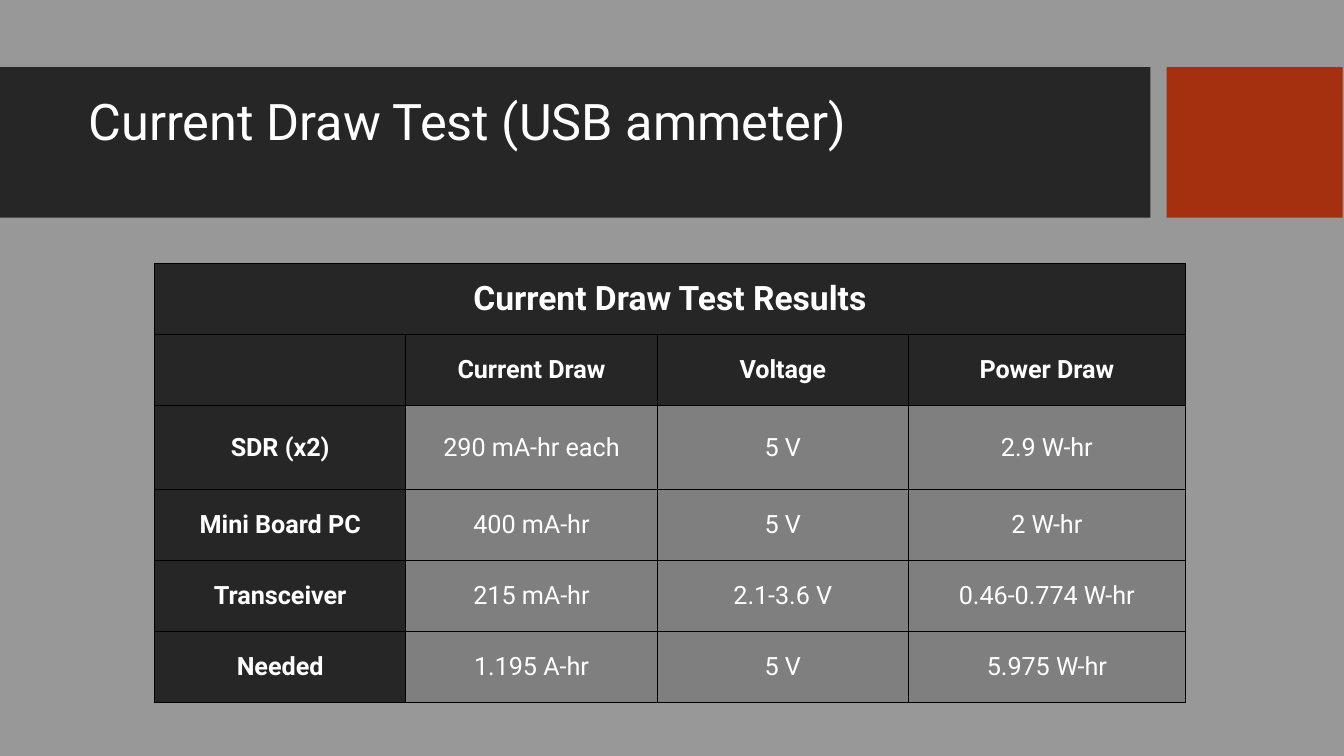
from lxml import etree
from pptx import Presentation
from pptx.dml.color import RGBColor
from pptx.enum import shapes, text
from pptx.oxml import ns
from pptx.util import Inches, Pt

DARK = RGBColor(0x26, 0x26, 0x26)
RUST = RGBColor(0xA5, 0x30, 0x0F)
GRAY = RGBColor(0x7F, 0x7F, 0x7F)
BACKDROP = RGBColor(0x98, 0x98, 0x98)
WHITE = RGBColor(0xFF, 0xFF, 0xFF)
BLACK = RGBColor(0, 0, 0)
FONT = "Roboto"

COLUMN_WIDTHS = [1.87, 1.87, 1.87, 2.06]
ROW_HEIGHTS = [0.53, 0.53, 0.62, 0.53, 0.53, 0.53]
ROWS = [
    ["Current Draw Test Results", "", "", ""],
    ["", "Current Draw", "Voltage", "Power Draw"],
    ["SDR (x2)", "290 mA-hr each", "5 V", "2.9 W-hr"],
    ["Mini Board PC", "400 mA-hr", "5 V", "2 W-hr"],
    ["Transceiver", "215 mA-hr", "2.1-3.6 V", "0.46-0.774 W-hr"],
    ["Needed", "1.195 A-hr", "5 V", "5.975 W-hr"],
]


def set_margins(target):
    target.margin_left = target.margin_right = Inches(0.1)
    target.margin_top = target.margin_bottom = Inches(0.1)


def add_borders(cell):
    properties = cell._tc.get_or_add_tcPr()
    for side in ("lnL", "lnR", "lnT", "lnB"):
        line = etree.SubElement(properties, ns.qn(f"a:{side}"), w=str(Pt(0.75)))
        fill = etree.SubElement(line, ns.qn("a:solidFill"))
        etree.SubElement(fill, ns.qn("a:srgbClr"), val=str(BLACK))


# Widescreen page, 16:9
deck = Presentation()
deck.slide_width = Inches(10)
deck.slide_height = Inches(10 * 9 / 16)
page = deck.slides.add_slide(deck.slide_layouts[5])
page.background.fill.solid()
page.background.fill.fore_color.rgb = BACKDROP

# Header band and accent block
for left, width, color in [(0, 8.56, DARK), (8.68, 1.31, RUST)]:
    band = page.shapes.add_shape(shapes.MSO_SHAPE.RECTANGLE, Inches(left), Inches(0.5),
                                 Inches(width), Inches(1.12))
    band.shadow.inherit = False
    band.fill.solid()
    band.fill.fore_color.rgb = color
    band.line.fill.background()

# Title, brought in front of the band
title = page.shapes.title
page.shapes._spTree.append(title._element)
title.left, title.top = Inches(0.56), Inches(0.62)
title.width, title.height = Inches(7.89), Inches(0.89)
frame = title.text_frame
frame.text = "Current Draw Test (USB ammeter)"
frame.word_wrap = True
frame.auto_size = text.MSO_AUTO_SIZE.NONE
frame.vertical_anchor = text.MSO_ANCHOR.TOP
set_margins(frame)
para = frame.paragraphs[0]
para.alignment = text.PP_ALIGN.LEFT
para.line_spacing = 0.9
para.font.name = FONT
para.font.size = Pt(27)
para.font.color.rgb = WHITE

# Results table
table = page.shapes.add_table(len(ROWS), len(COLUMN_WIDTHS), Inches(1.15), Inches(1.96),
                              Inches(sum(COLUMN_WIDTHS)), Inches(sum(ROW_HEIGHTS))).table
for column, width in zip(table.columns, COLUMN_WIDTHS):
    column.width = Inches(width)
for row, height in zip(table.rows, ROW_HEIGHTS):
    row.height = Inches(height)
table.cell(0, 0).merge(table.cell(0, 3))

for r, values in enumerate(ROWS):
    for c, value in enumerate(values):
        cell = table.cell(r, c)
        is_header = r < 2 or c == 0
        add_borders(cell)
        cell.fill.solid()
        cell.fill.fore_color.rgb = DARK if is_header else GRAY
        cell.vertical_anchor = text.MSO_ANCHOR.MIDDLE
        set_margins(cell)
        cell.text = value
        para = cell.text_frame.paragraphs[0]
        para.alignment = text.PP_ALIGN.CENTER
        para.font.name = FONT
        para.font.size = Pt(18 if r == 0 else 13.5)
        para.font.bold = is_header
        para.font.color.rgb = WHITE

deck.save("out.pptx")
